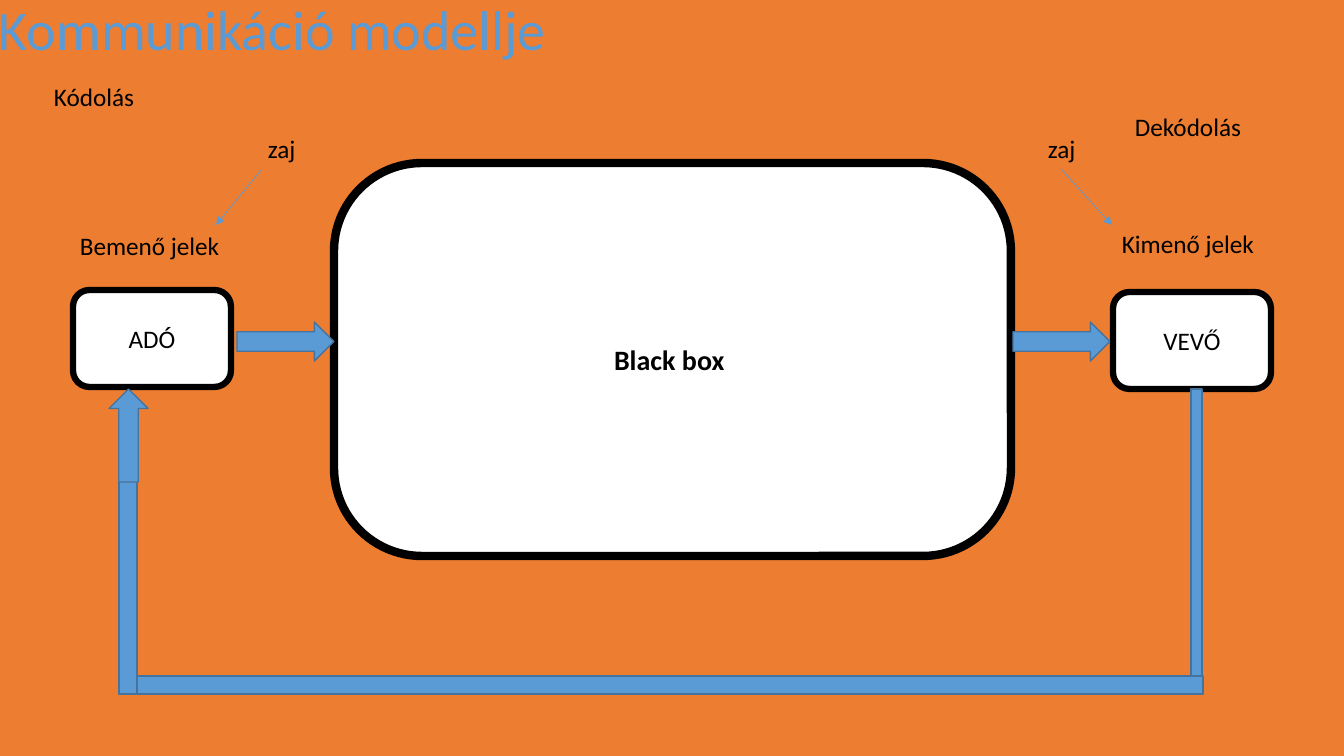
from lxml import etree
from pptx import Presentation
from pptx.dml.color import RGBColor
from pptx.enum.shapes import MSO_CONNECTOR, MSO_SHAPE
from pptx.enum.text import MSO_ANCHOR, MSO_AUTO_SIZE, PP_ALIGN
from pptx.oxml.ns import qn
from pptx.util import Pt

ROUNDED = MSO_SHAPE.ROUNDED_RECTANGLE
BAR = MSO_SHAPE.RECTANGLE
RIGHT_ARROW = MSO_SHAPE.RIGHT_ARROW
UP_ARROW = MSO_SHAPE.UP_ARROW
STRAIGHT = MSO_CONNECTOR.STRAIGHT
LEFT, CENTER = PP_ALIGN.LEFT, PP_ALIGN.CENTER
MIDDLE = MSO_ANCHOR.MIDDLE
GROW = MSO_AUTO_SIZE.SHAPE_TO_FIT_TEXT

EMU_PER_PIXEL = 914400 / 100.8
FONT = "Calibri"
COLORS = {
    "background": "ED7D31",
    "box": "FFFFFF",
    "ink": "000000",
    "signal": "5B9BD5",
    "signal_edge": "43739E",
}


def emu(*pixels):
    """Turn pixel lengths into a list of EMU lengths."""
    return [round(pixel * EMU_PER_PIXEL) for pixel in pixels]


def color(name):
    """Look up a named colour."""
    return RGBColor.from_string(COLORS[name])


def write_text(frame, text, size=18, ink="ink", bold=False, align=LEFT):
    """Write one formatted paragraph into a text frame."""
    paragraph = frame.paragraphs[0]
    paragraph.alignment = align
    run = paragraph.add_run()
    run.text = text
    run.font.name = FONT
    run.font.size = Pt(size)
    run.font.bold = bold
    run.font.color.rgb = color(ink)


class Diagram:
    """Draws styled elements on one slide."""

    def __init__(self, slide):
        """Keep the slide and colour its background."""
        self.slide = slide
        fill = slide.background.fill
        fill.solid()
        fill.fore_color.rgb = color("background")

    def shape(self, kind, bounds, fill="signal", line="signal_edge", width=1):
        """Add a filled and outlined preset shape."""
        shape = self.slide.shapes.add_shape(kind, *emu(*bounds))
        shape.shadow.inherit = False
        shape.fill.solid()
        shape.fill.fore_color.rgb = color(fill)
        shape.line.color.rgb = color(line)
        shape.line.width = Pt(width)
        return shape

    def box(self, text, bounds, width=4.5, corner=0.17, **style):
        """Add a white rounded box with a centred caption."""
        shape = self.shape(ROUNDED, bounds, "box", "ink", width)
        shape.adjustments[0] = corner
        shape.text_frame.vertical_anchor = MIDDLE
        write_text(shape.text_frame, text, align=CENTER, **style)

    def label(self, text, bounds, wrap=False, **style):
        """Add a free text label."""
        frame = self.slide.shapes.add_textbox(*emu(*bounds)).text_frame
        frame.word_wrap = wrap
        frame.auto_size = GROW
        write_text(frame, text, **style)

    def noise_arrow(self, start, end):
        """Add a thin line with an arrowhead at its end."""
        connector = self.slide.shapes.add_connector(STRAIGHT, *emu(*start, *end))
        connector.line.color.rgb = color("signal")
        connector.line.width = Pt(0.5)
        outline = connector.line._get_or_add_ln()
        etree.SubElement(outline, qn("a:tailEnd"), type="triangle")
        etree.SubElement(connector._element.spPr, qn("a:effectLst"))


def main():
    """Build the communication model slide."""
    presentation = Presentation()
    presentation.slide_width, presentation.slide_height = emu(1344, 756)
    slide = presentation.slides.add_slide(presentation.slide_layouts[6])
    diagram = Diagram(slide)

    diagram.box("Black box ", (334, 163, 677, 393), width=6, corner=0.224,
                size=20, bold=True)
    diagram.box("VEVŐ", (1113, 292, 158, 97))
    diagram.box("ADÓ", (73, 290, 158, 97))

    diagram.label("Kommunikáció modellje", (-11, -10, 573, 78),
                  size=40, ink="signal")
    diagram.label("Kódolás ", (44, 76, 107, 40))
    diagram.label("Bemenő jelek", (70, 225, 165, 40), wrap=True)
    diagram.label("Dekódolás ", (1125, 106, 133, 40))
    diagram.label("Kimenő jelek ", (1112, 223, 160, 40))

    for label_left, start_x, end_x in ((258, 262, 216), (1038, 1061, 1112)):
        diagram.label("zaj", (label_left, 128, 48, 40))
        diagram.noise_arrow((start_x, 169), (end_x, 225))

    for arrow_left in (237, 1013):
        diagram.shape(RIGHT_ARROW, (arrow_left, 322, 97, 39))

    feedback_bars = (
        (1191, 389, 11, 305),
        (119, 676, 1084, 18),
        (119, 434, 18, 260),
    )
    for bounds in feedback_bars:
        diagram.shape(BAR, bounds)
    diagram.shape(UP_ARROW, (109, 389, 39, 93))

    presentation.save("out.pptx")


main()
